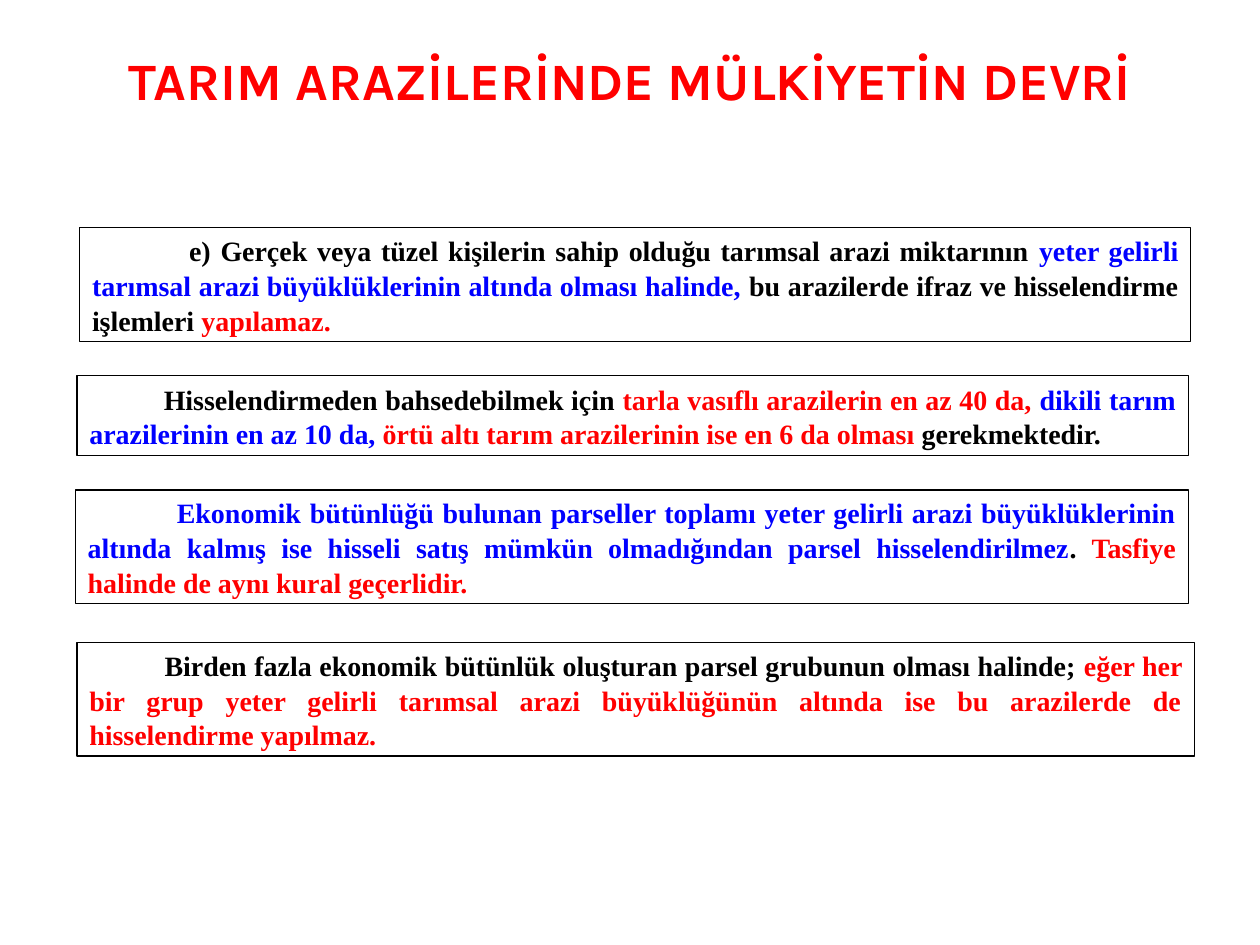
"""Build a slide on the transfer of ownership of agricultural land."""
from pptx import Presentation
from pptx.dml.color import RGBColor
from pptx.enum.shapes import MSO_SHAPE as Preset
from pptx.enum.text import MSO_ANCHOR as Anchor, MSO_AUTO_SIZE as AutoSize, PP_ALIGN as Align
from pptx.util import Pt

BLACK, RED, BLUE = "000000", "FF0000", "0000FF"


def color(value):
    return RGBColor.from_string(value)


def write(paragraph, text, font="Times New Roman", size=16, fill=BLACK):
    run = paragraph.add_run()
    run.text = text
    run.font.name = font
    run.font.size = Pt(size)
    run.font.bold = True
    run.font.color.rgb = color(fill)


deck = Presentation()
deck.slide_width, deck.slide_height = Pt(720), Pt(540)
slide = deck.slides.add_slide(deck.slide_layouts[5])

heading = slide.shapes.title
heading.left, heading.top, heading.width, heading.height = Pt(0), Pt(26), Pt(720), Pt(39.5)
heading.text_frame.vertical_anchor = Anchor.MIDDLE
heading.text_frame.auto_size = AutoSize.NONE
heading.text_frame.paragraphs[0].alignment = Align.CENTER
write(heading.text_frame.paragraphs[0], "TARIM ARAZİLERİNDE MÜLKİYETİN DEVRİ",
      font="Karla", size=30, fill=RED)

rules = [
    (45.5, 130, 635, 65, 55.5, [
        ("e) Gerçek veya tüzel kişilerin sahip olduğu tarımsal arazi miktarının ", BLACK),
        ("yeter gelirli tarımsal arazi büyüklüklerinin altında olması halinde,", BLUE),
        (" bu arazilerde ifraz ve hisselendirme işlemleri ", BLACK),
        ("yapılamaz.", RED)]),
    (44, 214.5, 635, 46, 42.5, [
        ("Hisselendirmeden bahsedebilmek için ", BLACK),
        ("tarla vasıflı arazilerin en az 40 da, ", RED),
        ("dikili tarım arazilerinin en az 10 da, ", BLUE),
        ("örtü altı tarım arazilerinin ise en 6 da olması ", RED),
        ("gerekmektedir.", BLACK)]),
    (43, 280, 636, 65, 51, [
        ("Ekonomik bütünlüğü bulunan parseller toplamı yeter gelirli arazi büyüklüklerinin "
         "altında kalmış ise hisseli satış mümkün olmadığından parsel hisselendirilmez", BLUE),
        (".", BLACK),
        (" Tasfiye halinde de aynı kural geçerlidir.", RED)]),
    (44, 367, 638.5, 65, 43, [
        ("Birden fazla ekonomik bütünlük oluşturan parsel grubunun olması halinde; ", BLACK),
        ("eğer her bir grup yeter gelirli tarımsal arazi büyüklüğünün altında ise "
         "bu arazilerde de hisselendirme yapılmaz.", RED)]),
]

for left, top, width, height, indent, phrases in rules:
    rule = slide.shapes.add_shape(Preset.RECTANGLE, Pt(left), Pt(top), Pt(width), Pt(height))
    rule.shadow.inherit = False
    rule.fill.background()
    rule.line.color.rgb = color(BLACK)
    rule.line.width = Pt(0.75)
    frame = rule.text_frame
    frame.word_wrap = True
    frame.auto_size = AutoSize.SHAPE_TO_FIT_TEXT
    frame.vertical_anchor = Anchor.MIDDLE
    paragraph = frame.paragraphs[0]
    paragraph.alignment = Align.JUSTIFY
    paragraph.line_spacing = 1.04
    paragraph._p.get_or_add_pPr().set("indent", str(Pt(indent)))
    for phrase, fill in phrases:
        write(paragraph, phrase, fill=fill)

deck.save("out.pptx")
